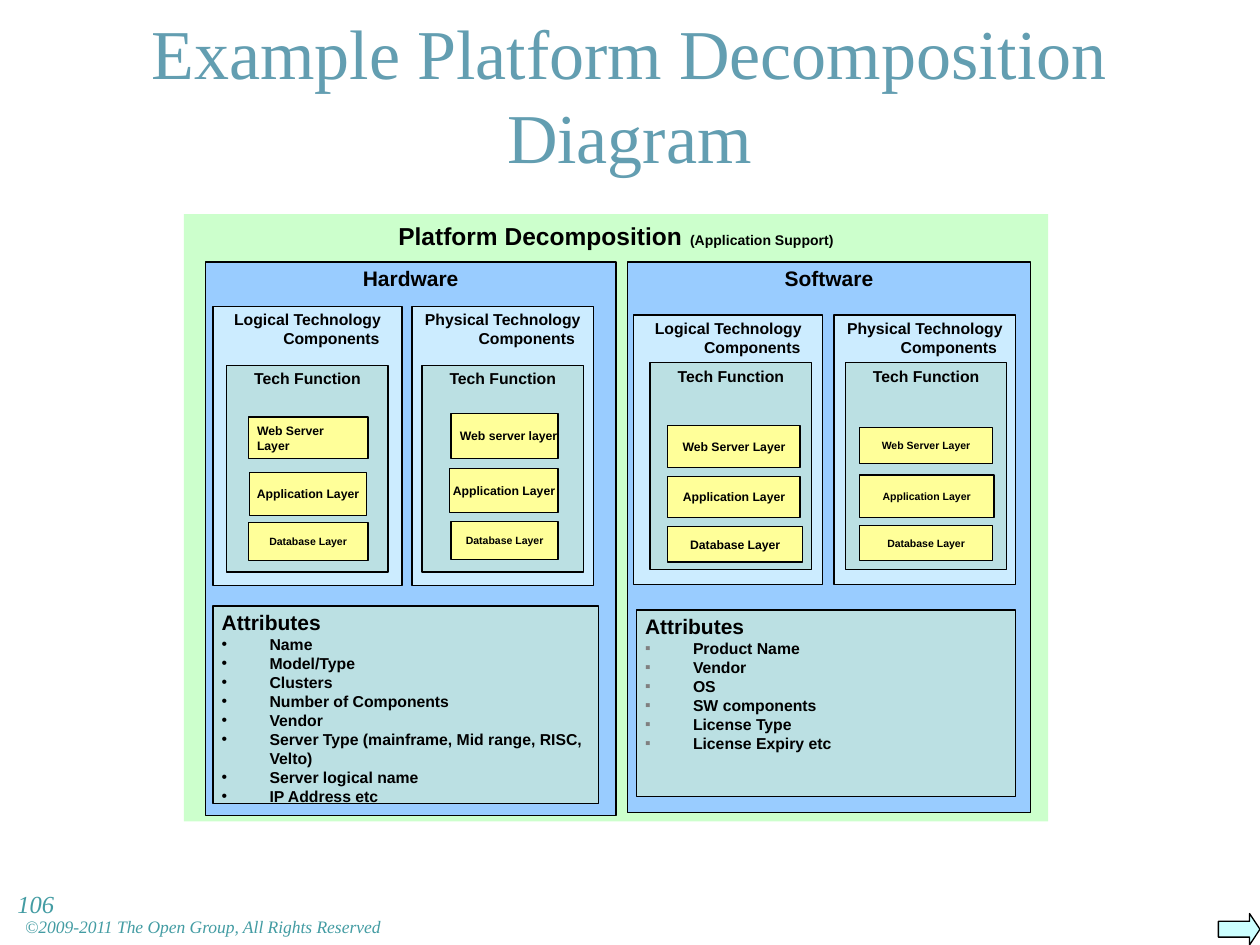
from lxml.etree import SubElement
from pptx import Presentation
from pptx.dml.color import RGBColor
from pptx.enum.shapes import MSO_SHAPE as Preset
from pptx.enum.text import MSO_ANCHOR as Anchor, PP_ALIGN as Align
from pptx.oxml.ns import qn
from pptx.util import Inches, Pt

COLUMNS, ROWS = 100, 75
SLIDE_WIDTH, SLIDE_HEIGHT = Inches(10), Inches(7.5)
HANGING = Inches(0.38)

HARDWARE = {
    "title": "Hardware", "component_y": 3.5, "component_h": 22.2, "function_y": 4.7,
    "components": [
        {"name": "Logical Technology Components", "span": (0.6, 15), "function_x": 1.1, "layers": [
            {"text": ["Web Server", "Layer"], "at": (1.7, 4.1, 9.5, 3.3), "align": Align.LEFT},
            {"text": ["Application Layer"], "at": (1.8, 8.5, 9.3, 3.4), "inset": (0, 0)},
            {"text": ["Database Layer"], "at": (1.7, 12.5, 9.5, 3), "size": 6}]},
        {"name": "Physical Technology Components", "span": (16.4, 14.4), "function_x": 0.8, "layers": [
            {"text": ["Web server layer"], "at": (2.3, 3.8, 8.5, 3.6), "align": Align.LEFT, "wrap": False},
            {"text": ["Application Layer"], "at": (2.2, 8.2, 8.6, 3.5), "wrap": False},
            {"text": ["Database Layer"], "at": (2.3, 12.4, 8.5, 3), "size": 6}]}],
    "attributes_at": (0.6, 27.3, 30.6, 15.7), "bullet": ("•", "000000"),
    "attributes": ["Name", "Model/Type", "Clusters", "Number of Components", "Vendor",
                   "Server Type (mainframe, Mid range, RISC, Velto)",
                   "Server logical name", "IP Address etc"],
}
SOFTWARE = {
    "title": "Software", "component_y": 4.2, "component_h": 21.4, "function_y": 3.8,
    "components": [
        {"name": "Logical Technology Components", "span": (0.5, 15), "function_x": 1.3, "layers": [
            {"text": ["Web Server Layer"], "at": (1.4, 5, 10.5, 3.3)},
            {"text": ["Application Layer"], "at": (1.4, 9, 10.5, 3.3)},
            {"text": ["Database Layer"], "at": (1.4, 13, 10.7, 2.8)}]},
        {"name": "Physical Technology Components", "span": (16.4, 14.4), "function_x": 0.9, "layers": [
            {"text": ["Web Server Layer"], "at": (1.1, 5.1, 10.6, 2.9), "size": 6},
            {"text": ["Application Layer"], "at": (1.1, 8.9, 10.7, 3.4), "size": 6},
            {"text": ["Database Layer"], "at": (1.1, 12.9, 10.6, 2.8), "size": 6}]}],
    "attributes_at": (0.7, 27.6, 30.1, 14.8), "bullet": ("▪", "808080"),
    "attributes": ["Product Name", "Vendor", "OS", "SW components", "License Type",
                   "License Expiry etc"],
}


def color(value):
    """Turn a hex string into a colour."""
    return RGBColor.from_string(value)


def on_grid(box):
    """Convert columns and rows into slide lengths."""
    x, y, w, h = box
    return [round(n * unit) for n, unit in zip((x, y, w, h), (SLIDE_WIDTH / COLUMNS, SLIDE_HEIGHT / ROWS) * 2)]


def within(box, part):
    """Shift a part's box by the corner of the box that holds it."""
    return (box[0] + part[0], box[1] + part[1], part[2], part[3])


def write(paragraph, text, size, name="Arial", ink="000000", bold=True, italic=False):
    """Add one formatted run to a paragraph."""
    run = paragraph.add_run()
    run.text = text
    looks = {"size": Pt(size), "name": name, "bold": bold, "italic": italic}
    for key, value in looks.items():
        setattr(run.font, key, value)
    run.font.color.rgb = color(ink)


def hang(paragraph, align, bullet=None):
    """Give a paragraph its hanging indent, alignment and bullet."""
    paragraph.alignment = align
    properties = paragraph.font._element.getparent()
    properties.set("marL", str(HANGING))
    properties.set("indent", str(-HANGING))
    properties.remove(paragraph.font._element)
    if bullet:
        char, ink = bullet
        SubElement(SubElement(properties, qn("a:buClr")), qn("a:srgbClr")).set("val", ink)
        SubElement(properties, qn("a:buFont")).set("typeface", "Arial")
        SubElement(properties, qn("a:buChar")).set("char", char)


def set_frame(frame, inset=(0.07, 0.03), anchor=Anchor.TOP, wrap=True):
    """Set the margins, anchor and wrapping of a text frame."""
    across, down = map(Inches, inset)
    settings = {"margin_left": across, "margin_right": across, "margin_top": down,
                "margin_bottom": down, "vertical_anchor": anchor, "word_wrap": wrap}
    for key, value in settings.items():
        setattr(frame, key, value)


def panel(slide, box, fill, outlined=True, preset=Preset.RECTANGLE):
    """Draw a filled shape on the grid."""
    shape = slide.shapes.add_shape(preset, *on_grid(box))
    shape.shadow.inherit = False
    shape.fill.solid()
    shape.fill.fore_color.rgb = color(fill)
    if outlined:
        shape.line.color.rgb = color("000000")
        shape.line.width = Pt(0.75)
    else:
        shape.line.fill.background()
    return shape


def labelled(slide, box, fill, lines, size, align=Align.CENTER, **frame_settings):
    """Draw a panel with one paragraph for each line."""
    frame = panel(slide, box, fill).text_frame
    set_frame(frame, **frame_settings)
    for number, line in enumerate(lines):
        paragraph = frame.add_paragraph() if number else frame.paragraphs[0]
        hang(paragraph, align)
        write(paragraph, line, size)
    return frame


def component(slide, box, content, function_y):
    """Place a technology component with its function and layers."""
    labelled(slide, box, "CCECFF", [content["name"]], 9)
    function = within(box, (content["function_x"], function_y, 12.8, 16.4))
    labelled(slide, function, "BBE0E3", ["Tech Function"], 9)
    for layer in content["layers"]:
        labelled(slide, within(function, layer["at"]), "FFFF99", layer["text"],
                 layer.get("size", 7), layer.get("align", Align.CENTER), anchor=Anchor.MIDDLE,
                 inset=layer.get("inset", (0.07, 0.03)), wrap=layer.get("wrap", True))


def attribute_list(slide, box, items, bullet):
    """Place the bulleted attributes under their heading."""
    frame = labelled(slide, box, "BBE0E3", ["Attributes"], 12, Align.LEFT)
    for item in items:
        paragraph = frame.add_paragraph()
        hang(paragraph, Align.LEFT, bullet)
        write(paragraph, item, 9)


def half(slide, box, content):
    """Place the hardware or software half of the platform."""
    labelled(slide, box, "99CCFF", [content["title"]], 12)
    for part in content["components"]:
        x, width = part["span"]
        place = (x, content["component_y"], width, content["component_h"])
        component(slide, within(box, place), part, content["function_y"])
    attribute_list(slide, within(box, content["attributes_at"]), content["attributes"], content["bullet"])


def platform(slide, box):
    """Place the whole decomposition."""
    frame = panel(slide, box, "CCFFCC", outlined=False).text_frame
    set_frame(frame)
    heading = frame.paragraphs[0]
    hang(heading, Align.CENTER)
    for text, size in (("Platform Decomposition", 14), (" ", 16), ("(Application Support)", 8)):
        write(heading, text, size)
    half(slide, within(box, (1.7, 3.8, 32.6, 43.9)), HARDWARE)
    half(slide, within(box, (35.2, 3.8, 32, 43.7)), SOFTWARE)


def headline(slide, box):
    """Place the slide title."""
    title = slide.shapes.title
    title.left, title.top, title.width, title.height = on_grid(box)
    set_frame(title.text_frame, (0.1, 0.05), Anchor.MIDDLE)
    paragraph = title.text_frame.paragraphs[0]
    paragraph.alignment = Align.CENTER
    paragraph.line_spacing = 1.0
    write(paragraph, "Example Platform Decomposition Diagram", 40, "Times New Roman", "639EB1", False)


def footer_text(slide, box, text, size, left_margin):
    """Place one line of footer text."""
    frame = slide.shapes.add_textbox(*on_grid(box)).text_frame
    set_frame(frame, (0.1, 0.05))
    frame.margin_left = Inches(left_margin)
    write(frame.paragraphs[0], text, size, "Times New Roman", "439CA3", False, True)


def footer(slide, box):
    """Place the arrow, copyright line and page number."""
    arrow = panel(slide, within(box, (96.7, 2.4, 3.3, 2.5)), "CCFFFF", preset=Preset.RIGHT_ARROW)
    arrow.adjustments[1] = 0.33
    footer_text(slide, within(box, (2, 2.1, 73.2, 2.4)),
                "©2009-2011 The Open Group, All Rights Reserved", 10, 0)
    footer_text(slide, within(box, (0.4, 0, 11.8, 5.2)), "106", 14, 0.1)


def main():
    """Build and save the slide."""
    deck = Presentation()
    deck.slide_width, deck.slide_height = SLIDE_WIDTH, SLIDE_HEIGHT
    slide = deck.slides.add_slide(deck.slide_layouts[5])
    headline(slide, (2.7, 0, 94.5, 14.8))
    platform(slide, (14.6, 17, 68.6, 48.2))
    footer(slide, (0, 70.1, 100, 4.9))
    deck.save("out.pptx")


if __name__ == "__main__":
    main()
